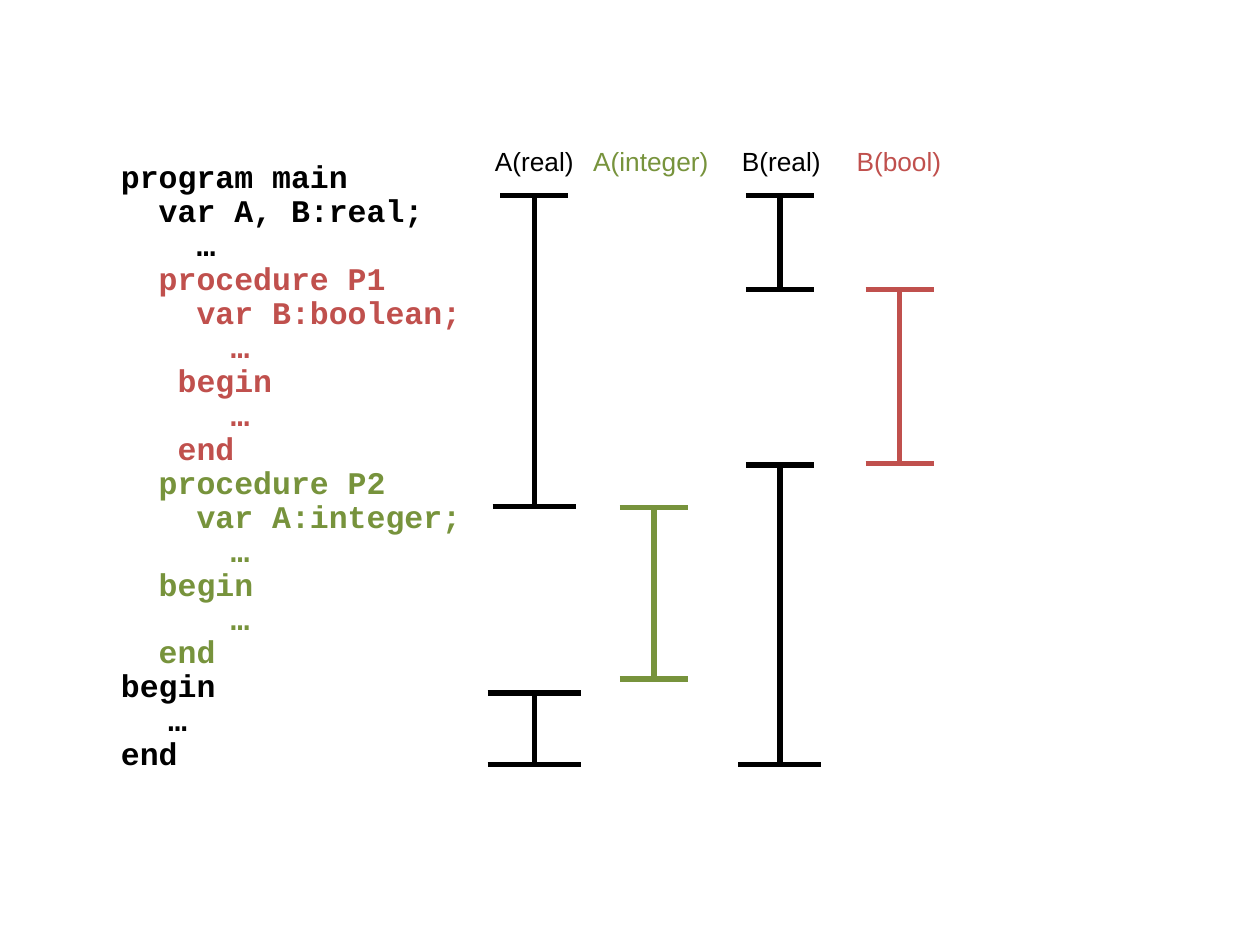
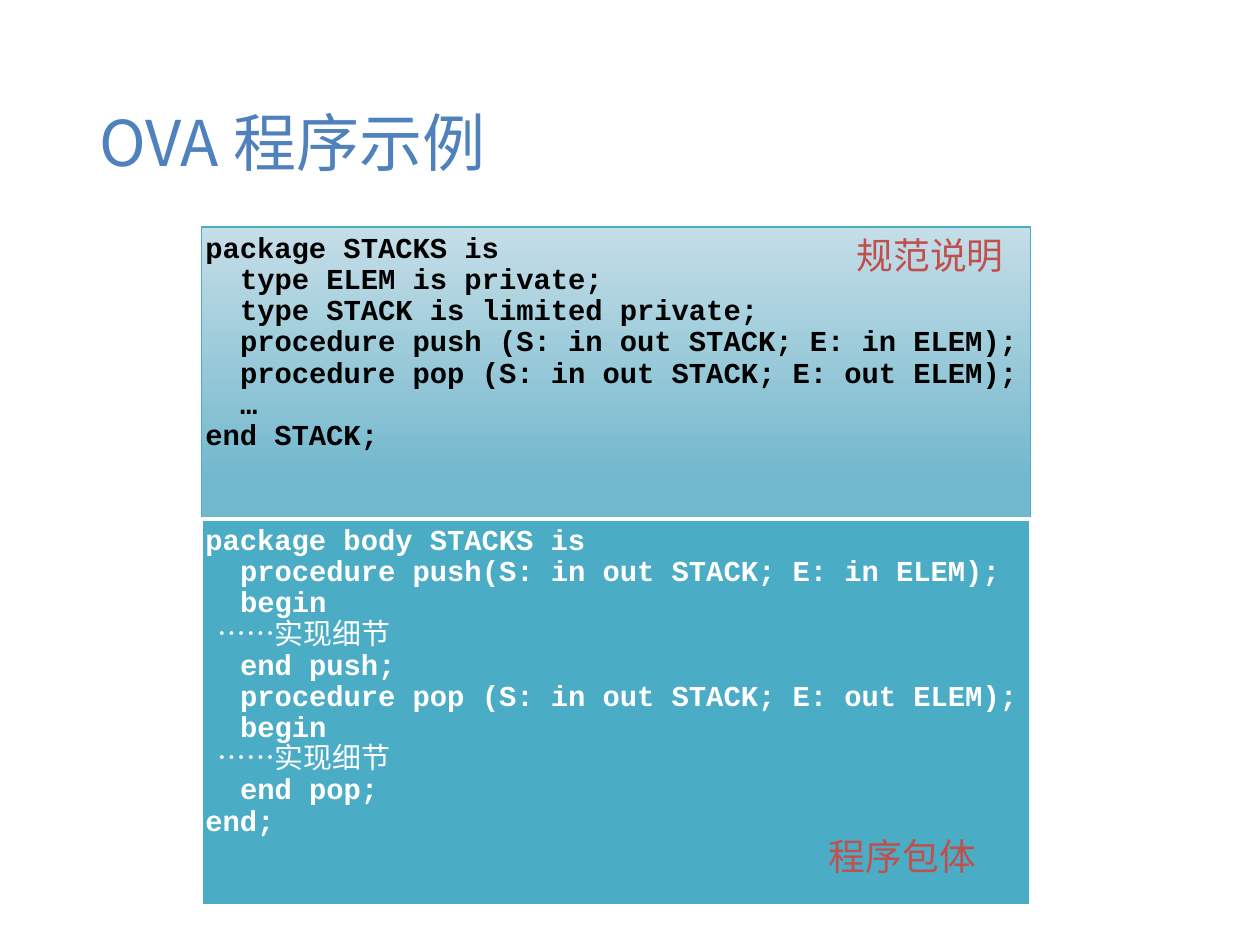
import pptx
import pptx.dml.color
import pptx.enum.shapes
import pptx.enum.text
import pptx.oxml.ns
import pptx.util
import lxml.etree

Inches = pptx.util.Inches
Pt = pptx.util.Pt
qn = pptx.oxml.ns.qn
ALIGN = pptx.enum.text.PP_ALIGN
ANCHOR = pptx.enum.text.MSO_ANCHOR
AUTO_SIZE = pptx.enum.text.MSO_AUTO_SIZE

BLACK, WHITE, RED, GREEN = "000000", "FFFFFF", "C0504D", "77933C"
BLUE, TEAL = "4F81BD", "4BACC6"
CODE_FONT, LABEL_FONT, CHINESE_FONT = "Courier New", "Arial", "Noto Sans CJK SC"
LINE_PITCH = 1.08       # line distance of code, in text sizes
CHARACTER = 0.6         # width of a code character, in text sizes

# Code lines: indent in characters, text, colour
MAIN_PROGRAM = [
    (0, "program main", BLACK),
    (2, "var A, B:real;", BLACK),
    (4, "…", BLACK),
    (2, "procedure P1", RED),
    (4, "var B:boolean;", RED),
    (5.8, "…", RED),
    (3, "begin", RED),
    (5.8, "…", RED),
    (3, "end", RED),
    (2, "procedure P2", GREEN),
    (4, "var A:integer;", GREEN),
    (5.8, "…", GREEN),
    (2, "begin", GREEN),
    (5.8, "…", GREEN),
    (2, "end", GREEN),
    (0, "begin", BLACK),
    (2.5, "…", BLACK),
    (0, "end", BLACK),
]
PACKAGE_SPECIFICATION = [
    (0, "package STACKS is", BLACK),
    (2, "type ELEM is private;", BLACK),
    (2, "type STACK is limited private;", BLACK),
    (2, "procedure push (S: in out STACK; E: in ELEM);", BLACK),
    (2, "procedure pop (S: in out STACK; E: out ELEM);", BLACK),
    (2, "…", BLACK),
    (0, "end STACK;", BLACK),
]
DETAILS = (0.7, "……实现细节", WHITE)
PACKAGE_BODY = [
    (0, "package body STACKS is", WHITE),
    (2, "procedure push(S: in out STACK; E: in ELEM);", WHITE),
    (2, "begin", WHITE),
    DETAILS,
    (2, "end push;", WHITE),
    (2, "procedure pop (S: in out STACK; E: out ELEM);", WHITE),
    (2, "begin", WHITE),
    DETAILS,
    (2, "end pop;", WHITE),
    (0, "end;", WHITE),
]

# Variables: name, colour, label left and width, axis,
# scopes (top, bottom, top bar, bottom bar)
VARIABLES = [
    ("A(real)", BLACK, 3.83, 0.9, 4.24,
     [(1.55, 4.02, 0.54, 0.66), (5.5, 6.07, 0.74, 0.74)]),
    ("A(integer)", GREEN, 4.61, 1.21, 5.19, [(4.03, 5.39, 0.54, 0.54)]),
    ("B(real)", BLACK, 5.79, 0.9, 6.19,
     [(1.55, 2.3, 0.54, 0.54), (3.69, 6.07, 0.54, 0.66)]),
    ("B(bool)", RED, 6.7, 0.95, 7.14, [(2.3, 3.68, 0.54, 0.54)]),
]


def rgb(colour):
    """Turn a hex string into a colour."""
    return pptx.dml.color.RGBColor.from_string(colour)


def place(shape, box):
    """Move a shape to a box of left, top, width and height in inches."""
    shape.left, shape.top, shape.width, shape.height = map(Inches, box)


def write(para, text, size=18, font=LABEL_FONT, colour=BLACK, bold=False):
    """Add a formatted span of text to a paragraph."""
    span = para.add_run()
    span.text = text
    span.font.size, span.font.name, span.font.bold = Pt(size), font, bold
    span.font.color.rgb = rgb(colour)
    east_asian = lxml.etree.Element(qn("a:ea"), typeface=CHINESE_FONT)
    span.font._element.find(qn("a:latin")).addnext(east_asian)


def write_code(shape, lines, size, side=0.1, top=0.05, align=ALIGN.LEFT):
    """Fill a shape with indented code lines."""
    frame = shape.text_frame
    frame.word_wrap, frame.auto_size = True, AUTO_SIZE.NONE
    frame.vertical_anchor = ANCHOR.TOP
    frame.margin_left = frame.margin_right = Inches(side)
    frame.margin_top = frame.margin_bottom = Inches(top)
    for number, (indent, text, colour) in enumerate(lines):
        para = frame.add_paragraph() if number else frame.paragraphs[0]
        para.alignment = align
        para.line_spacing = Pt(round(size * LINE_PITCH, 1))
        para.space_before = para.space_after = Pt(0)
        properties = para._p.get_or_add_pPr()
        properties.set("marL", str(int(Pt(indent * size * CHARACTER))))
        properties.set("indent", "0")
        lxml.etree.SubElement(properties, qn("a:buNone"))
        chinese = text == DETAILS[1]
        write(para, text, size=size, colour=colour, bold=not chinese,
              font=CHINESE_FONT if chinese else CODE_FONT)


def add_label(page, box, text, **style):
    """Add a one-line label."""
    label = page.shapes.add_textbox(*map(Inches, box))
    label.text_frame.word_wrap = False
    label.text_frame.auto_size = AUTO_SIZE.SHAPE_TO_FIT_TEXT
    write(label.text_frame.paragraphs[0], text, **style)


def add_scope(page, axis, scope, colour):
    """Add a grouped vertical scope line with a bar at both ends."""
    top, bottom, top_bar, bottom_bar = scope
    group = page.shapes.add_group_shape()
    ends = [(axis, top, axis, bottom)]
    for height, bar in ((top, top_bar), (bottom, bottom_bar)):
        ends.append((axis - bar / 2, height, axis + bar / 2, height))
    for points in ends:
        line = group.shapes.add_connector(
            pptx.enum.shapes.MSO_CONNECTOR.STRAIGHT, *map(Inches, points))
        line.line.color.rgb = rgb(colour)
        line.line.width = Pt(3)
        lxml.etree.SubElement(line._element.spPr, qn("a:effectLst"))


def add_code_panel(shape, box, lines, border, width):
    """Place and outline a panel of package code."""
    place(shape, box)
    shape.line.color.rgb = rgb(border)
    shape.line.width = Pt(width)
    write_code(shape, lines, 16.5, side=0.03, align=ALIGN.JUSTIFY)


def add_scope_page(deck):
    """Build the slide that sets a program beside its variable scopes."""
    page = deck.slides.add_slide(deck.slide_layouts[1])
    title, code = page.placeholders
    title._element.getparent().remove(title._element)
    place(code, (0.86, 1.23, 3.03, 5.05))
    write_code(code, MAIN_PROGRAM, 18)
    for name, colour, left, width, axis, scopes in VARIABLES:
        add_label(page, (left, 1.1, width, 0.35), name, size=15, colour=colour)
        for scope in scopes:
            add_scope(page, axis, scope, colour)


def add_package_page(deck):
    """Build the slide with the two parts of a package."""
    page = deck.slides.add_slide(deck.slide_layouts[1])
    title, specification = page.placeholders
    place(title, (0.69, 0.4, 8.63, 1.45))
    title.text_frame.vertical_anchor = ANCHOR.MIDDLE
    heading = title.text_frame.paragraphs[0]
    heading.alignment = ALIGN.LEFT
    write(heading, "OVA 程序示例", size=36, font=CHINESE_FONT, colour=BLUE)

    left, top, width, height = 1.6, 1.8, 6.58, 2.32
    specification.fill.gradient()
    specification.fill.gradient_angle = 270
    stops = specification.fill.gradient_stops
    for stop, position, colour in zip(stops, (0, 0.88), ("C5DEE7", "71B7CD")):
        stop.position = position
        stop.color.rgb = rgb(colour)
    add_code_panel(specification, (left, top, width, height),
                   PACKAGE_SPECIFICATION, TEAL, 1)

    body = page.shapes.add_shape(pptx.enum.shapes.MSO_SHAPE.RECTANGLE, 0, 0, 0, 0)
    body.shadow.inherit = False
    body.fill.solid()
    body.fill.fore_color.rgb = rgb(TEAL)
    add_code_panel(body, (left, top + height, width, 3.07), PACKAGE_BODY, WHITE, 2)

    add_label(page, (left + 5.1, top, 1.38, 0.45), "规范说明", size=21, colour=RED)
    add_label(page, (left + 4.88, 6.57, 1.38, 0.45), "程序包体", size=21, colour=RED)


deck = pptx.Presentation()
deck.slide_width, deck.slide_height = Inches(10), Inches(7.5)
add_scope_page(deck)
add_package_page(deck)
deck.save("out.pptx")
